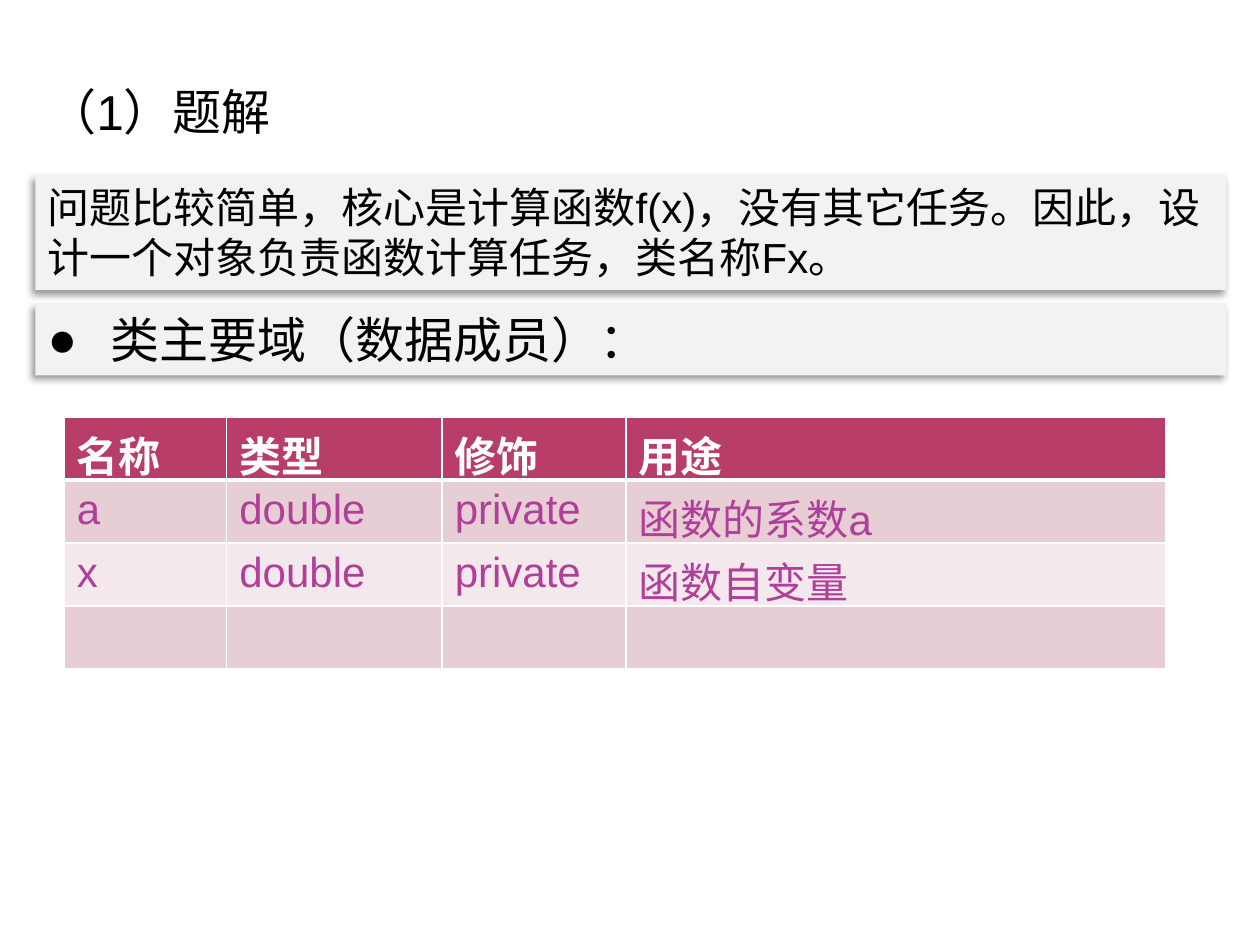
from lxml.etree import SubElement
from pptx import Presentation
from pptx.dml.color import RGBColor
from pptx.enum.shapes import MSO_SHAPE
from pptx.enum.text import MSO_ANCHOR, MSO_AUTO_SIZE, PP_ALIGN
from pptx.oxml.ns import qn
from pptx.util import Inches, Pt

BLACK = RGBColor(0x00, 0x00, 0x00)
WHITE = RGBColor(0xFF, 0xFF, 0xFF)
PANEL_GRAY = RGBColor(0xF2, 0xF2, 0xF2)
HEADER_RED = RGBColor(0xB8, 0x3D, 0x68)
BODY_PURPLE = RGBColor(0xB1, 0x3F, 0x9A)
BAND_DARK = RGBColor(0xE6, 0xCE, 0xD4)
BAND_LIGHT = RGBColor(0xF3, 0xE8, 0xEB)

FONT = "Arial"
LEFT = 0.28
PANEL_WIDTH = 9.45
ROW_HEIGHT = 0.5
COLUMN_WIDTHS = (1.29, 1.71, 1.46, 4.28)
MEMBERS = (
    ("名称", "类型", "修饰", "用途"),
    ("a", "double", "private", "函数的系数a"),
    ("x", "double", "private", "函数自变量"),
    ("", "", "", ""),
)


def write_text(frame, text, size=24, color=BLACK, bold=False, space_before=0, bullet=None):
    frame.word_wrap = True
    paragraph = frame.paragraphs[0]
    paragraph.alignment = PP_ALIGN.LEFT
    paragraph.space_before = Pt(space_before)
    paragraph.font.size = Pt(size)
    if bullet:
        properties = paragraph._p.get_or_add_pPr()
        properties.set("marL", str(Inches(0.5)))
        properties.set("indent", str(Inches(-0.5)))
        SubElement(properties, qn("a:buFont"), typeface=FONT)
        SubElement(properties, qn("a:buChar"), char=bullet)
    if text:
        span = paragraph.add_run()
        span.text = text
        span.font.name = FONT
        span.font.size = Pt(size)
        span.font.bold = bold
        span.font.color.rgb = color


def add_shadow(shape):
    shape.shadow.inherit = False
    effects = shape._element.spPr.find(qn("a:effectLst"))
    shadow = SubElement(
        effects, qn("a:outerShdw"), blurRad=str(Pt(4)), dist=str(Pt(3)),
        dir=str(135 * 60000), algn="tr", rotWithShape="0",
    )
    shade = SubElement(shadow, qn("a:srgbClr"), val=str(BLACK))
    SubElement(shade, qn("a:alpha"), val="40000")


def add_title(page, text):
    box = page.shapes.add_textbox(Inches(LEFT), Inches(0.6), Inches(2.76), Inches(0.57))
    write_text(box.text_frame, text, size=28)
    box.text_frame.auto_size = MSO_AUTO_SIZE.SHAPE_TO_FIT_TEXT


def add_panel(page, top, height, text, **text_format):
    panel = page.shapes.add_shape(
        MSO_SHAPE.RECTANGLE, Inches(LEFT), Inches(top), Inches(PANEL_WIDTH), Inches(height)
    )
    panel.fill.solid()
    panel.fill.fore_color.rgb = PANEL_GRAY
    panel.line.fill.background()
    add_shadow(panel)
    write_text(panel.text_frame, text, **text_format)
    panel.text_frame.vertical_anchor = MSO_ANCHOR.TOP
    panel.text_frame.auto_size = MSO_AUTO_SIZE.SHAPE_TO_FIT_TEXT


def set_borders(cell, widths):
    properties = cell._tc.get_or_add_tcPr()
    for position, (side, width) in enumerate(widths.items()):
        line = properties.makeelement(qn(f"a:{side}"), {"w": str(Pt(width))})
        fill = SubElement(line, qn("a:solidFill"))
        SubElement(fill, qn("a:srgbClr"), val=str(WHITE))
        properties.insert(position, line)


def add_member_table(page, rows):
    frame = page.shapes.add_table(
        len(rows), len(COLUMN_WIDTHS), Inches(0.51), Inches(3.31),
        Inches(sum(COLUMN_WIDTHS)), Inches(ROW_HEIGHT * len(rows)),
    )
    table = frame.table
    for column, width in zip(table.columns, COLUMN_WIDTHS):
        column.width = Inches(width)
    for row_index, row in enumerate(rows):
        header = row_index == 0
        band = HEADER_RED if header else (BAND_LIGHT, BAND_DARK)[row_index % 2]
        top = 3 if row_index == 1 else 1
        bottom = 3 if header else 1
        for column_index, text in enumerate(row):
            cell = table.cell(row_index, column_index)
            cell.fill.solid()
            cell.fill.fore_color.rgb = band
            set_borders(cell, {"lnL": 1, "lnR": 1, "lnT": top, "lnB": bottom})
            write_text(cell.text_frame, text, color=WHITE if header else BODY_PURPLE, bold=header)


def main():
    deck = Presentation()
    deck.slide_width, deck.slide_height = Inches(10), Inches(7.5)
    page = deck.slides.add_slide(deck.slide_layouts[6])
    add_title(page, "（1）题解")
    add_panel(
        page, 1.39, 0.91,
        "问题比较简单，核心是计算函数f(x)，没有其它任务。因此，设计一个对象负责函数计算任务，类名称Fx。",
        space_before=6,
    )
    add_panel(page, 2.41, 0.57, "类主要域（数据成员）：", size=28, bullet="●")
    add_member_table(page, MEMBERS)
    deck.save("out.pptx")


if __name__ == "__main__":
    main()
